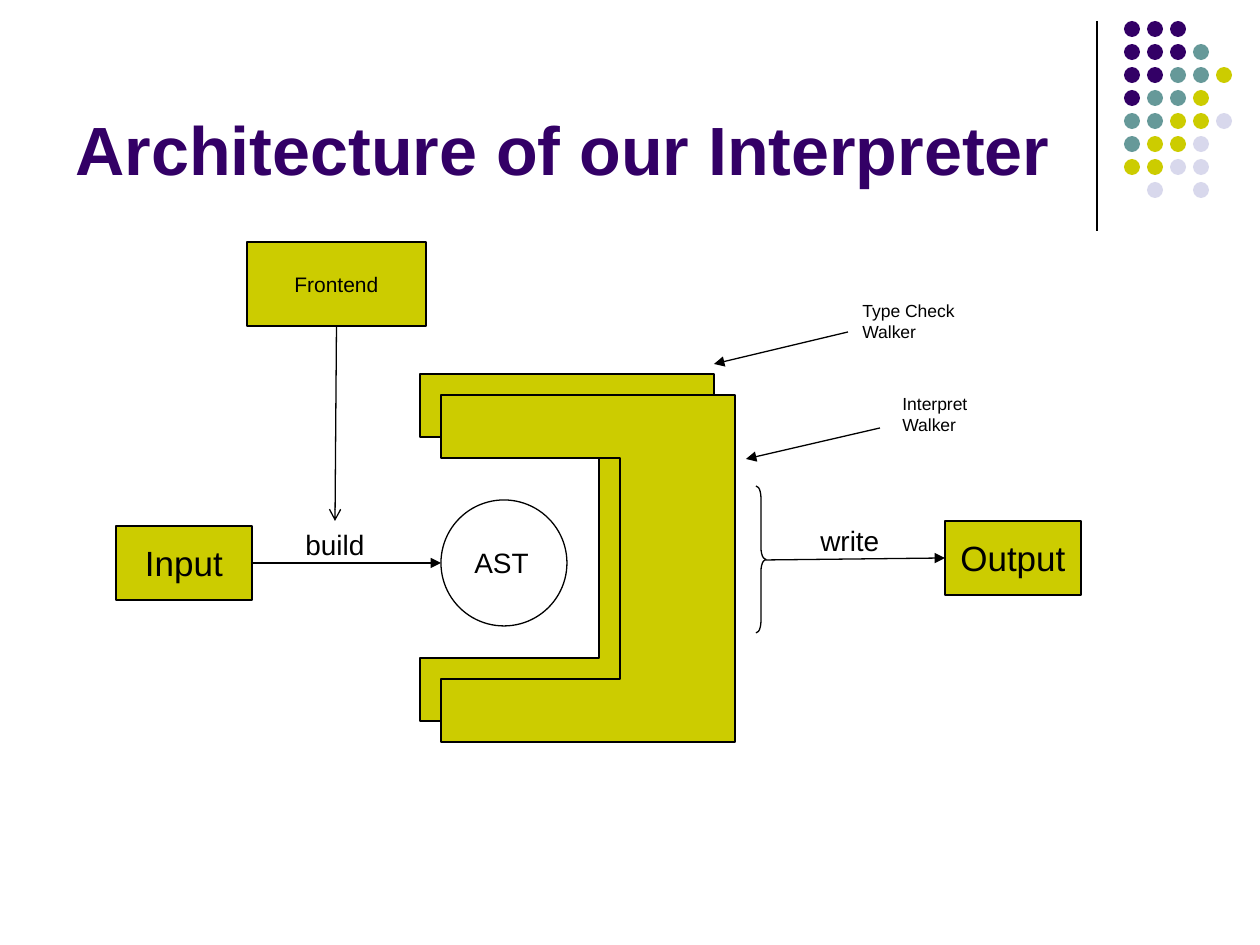
"""Build the interpreter architecture slide."""
from dataclasses import dataclass

from lxml import etree
from pptx import Presentation
from pptx.dml.color import RGBColor
from pptx.enum.shapes import MSO_CONNECTOR, MSO_SHAPE
from pptx.enum.text import MSO_ANCHOR, PP_ALIGN
from pptx.oxml.ns import qn
from pptx.util import Emu, Pt

RECT, OVAL, BRACE = MSO_SHAPE.RECTANGLE, MSO_SHAPE.OVAL, MSO_SHAPE.RIGHT_BRACE
STRAIGHT = MSO_CONNECTOR.STRAIGHT
TOP, MIDDLE, BOTTOM = MSO_ANCHOR.TOP, MSO_ANCHOR.MIDDLE, MSO_ANCHOR.BOTTOM
LEFT, CENTER = PP_ALIGN.LEFT, PP_ALIGN.CENTER
LEFT_SIDE, BOTTOM_SIDE, RIGHT_SIDE = 1, 2, 3
EMU_PER_PX = 914400 / 126


@dataclass(frozen=True)
class Theme:
    font: str = "Arial"
    ink: str = "000000"
    purple: str = "330066"
    teal: str = "669999"
    olive: str = "CCCC00"
    lilac: str = "D8D8EC"
    title: int = 39
    box: int = 20
    label: int = 16
    frontend: int = 12
    note: int = 10
    line: float = 0.75


THEME = Theme()
DOT_COLORS = {"P": THEME.purple, "T": THEME.teal, "O": THEME.olive, "L": THEME.lilac}
DOT_ROWS = ("PPP", "PPPT", "PPTTO", "PTTO", "TTOOL", "TOOL", "OOLL", " L L")


def px(value):
    return Emu(round(value * EMU_PER_PX))


def rgb(color):
    return RGBColor.from_string(color)


def set_text(sp, text, size, color=THEME.ink, bold=False, align=LEFT,
             anchor=TOP, wrap=False, inset_top=6):
    tf = sp.text_frame
    tf.word_wrap = wrap
    tf.vertical_anchor = anchor
    tf.margin_top = px(inset_top)
    for i, line in enumerate(text.split("\n")):
        p = tf.add_paragraph() if i else tf.paragraphs[0]
        p.alignment = align
        r = p.add_run()
        r.text = line
        r.font.name, r.font.size, r.font.bold = THEME.font, Pt(size), bold
        r.font.color.rgb = rgb(color)


def add_text(s, box, text, size, **fmt):
    set_text(s.shapes.add_textbox(*map(px, box)), text, size, **fmt)


def paint(sp, fill=None, line=THEME.ink):
    sp.shadow.inherit = False
    if fill:
        sp.fill.solid()
        sp.fill.fore_color.rgb = rgb(fill)
    else:
        sp.fill.background()
    if line:
        sp.line.color.rgb = rgb(line)
        sp.line.width = Pt(THEME.line)
    else:
        sp.line.fill.background()


def add_shape(s, kind, box, **style):
    sp = s.shapes.add_shape(kind, *map(px, box))
    paint(sp, **style)
    return sp


def add_box(s, box, text, size, **fmt):
    sp = add_shape(s, RECT, box, fill=THEME.olive)
    set_text(sp, text, size, align=CENTER, **fmt)
    return sp


def add_line(s, start, end, head=None, begin=None, finish=None):
    cxn = s.shapes.add_connector(STRAIGHT, *map(px, start + end))
    cxn.line.color.rgb = rgb(THEME.ink)
    cxn.line.width = Pt(THEME.line)
    if begin:
        cxn.begin_connect(*begin)
    if finish:
        cxn.end_connect(*finish)
    sppr = cxn._element.spPr
    if head:
        etree.SubElement(sppr.find(qn("a:ln")), qn("a:tailEnd"), type=head)
    etree.SubElement(sppr, qn("a:effectLst"))


def add_dots(s, left=1124, top=21, size=16, pitch=23):
    for row, codes in enumerate(DOT_ROWS):
        for col, code in enumerate(codes):
            if code in DOT_COLORS:
                box = (left + col * pitch, top + row * pitch, size, size)
                add_shape(s, OVAL, box, fill=DOT_COLORS[code], line=None)


def add_walker(s, left, top, width=294, height=347, arm=63, spine=115):
    right, bottom, inner = left + width, top + height, left + width - spine
    fb = s.shapes.build_freeform(left, top, scale=EMU_PER_PX)
    fb.add_line_segments([
        (right, top), (right, bottom), (left, bottom), (left, bottom - arm),
        (inner, bottom - arm), (inner, top + arm), (left, top + arm),
    ], close=True)
    paint(fb.convert_to_shape(), fill=THEME.olive)


def main():
    prs = Presentation()
    prs.slide_width, prs.slide_height = px(1260), px(945)
    s = prs.slides.add_slide(prs.slide_layouts[6])

    add_line(s, (1097, 21), (1097, 231))
    add_dots(s)
    add_text(s, (63, 16, 1040, 179), "Architecture of our Interpreter", THEME.title,
             color=THEME.purple, bold=True, anchor=BOTTOM, wrap=True)

    add_shape(s, OVAL, (441, 500, 126, 126))
    add_text(s, (462, 539, 86, 47), "AST", THEME.label)
    source = add_box(s, (116, 526, 136, 74), "Input", THEME.box, anchor=MIDDLE)
    output = add_box(s, (945, 521, 136, 74), "Output", THEME.box, anchor=MIDDLE)
    frontend = add_box(s, (247, 242, 179, 84), "Frontend", THEME.frontend,
                       wrap=True, inset_top=30)

    brace = add_shape(s, BRACE, (756, 486, 10, 147))
    brace.adjustments[0] = 1.17
    brace.adjustments[1] = 0.5

    add_line(s, (252, 563), (441, 563), head="triangle", begin=(source, RIGHT_SIDE))
    add_line(s, (766, 560), (945, 558), head="triangle", finish=(output, LEFT_SIDE))
    add_line(s, (336, 326), (335, 521), head="arrow", begin=(frontend, BOTTOM_SIDE))
    add_text(s, (293, 522, 88, 47), "build", THEME.label)
    add_text(s, (808, 518, 88, 47), "write", THEME.label)

    add_line(s, (848, 332), (714, 364), head="triangle")
    add_line(s, (880, 428), (746, 459), head="triangle")
    add_text(s, (850, 294, 122, 55), "Type Check\nWalker", THEME.note)
    add_text(s, (890, 387, 94, 55), "Interpret\nWalker", THEME.note)

    for offset in (0, 21):
        add_walker(s, 420 + offset, 374 + offset)

    prs.save("out.pptx")


if __name__ == "__main__":
    main()
